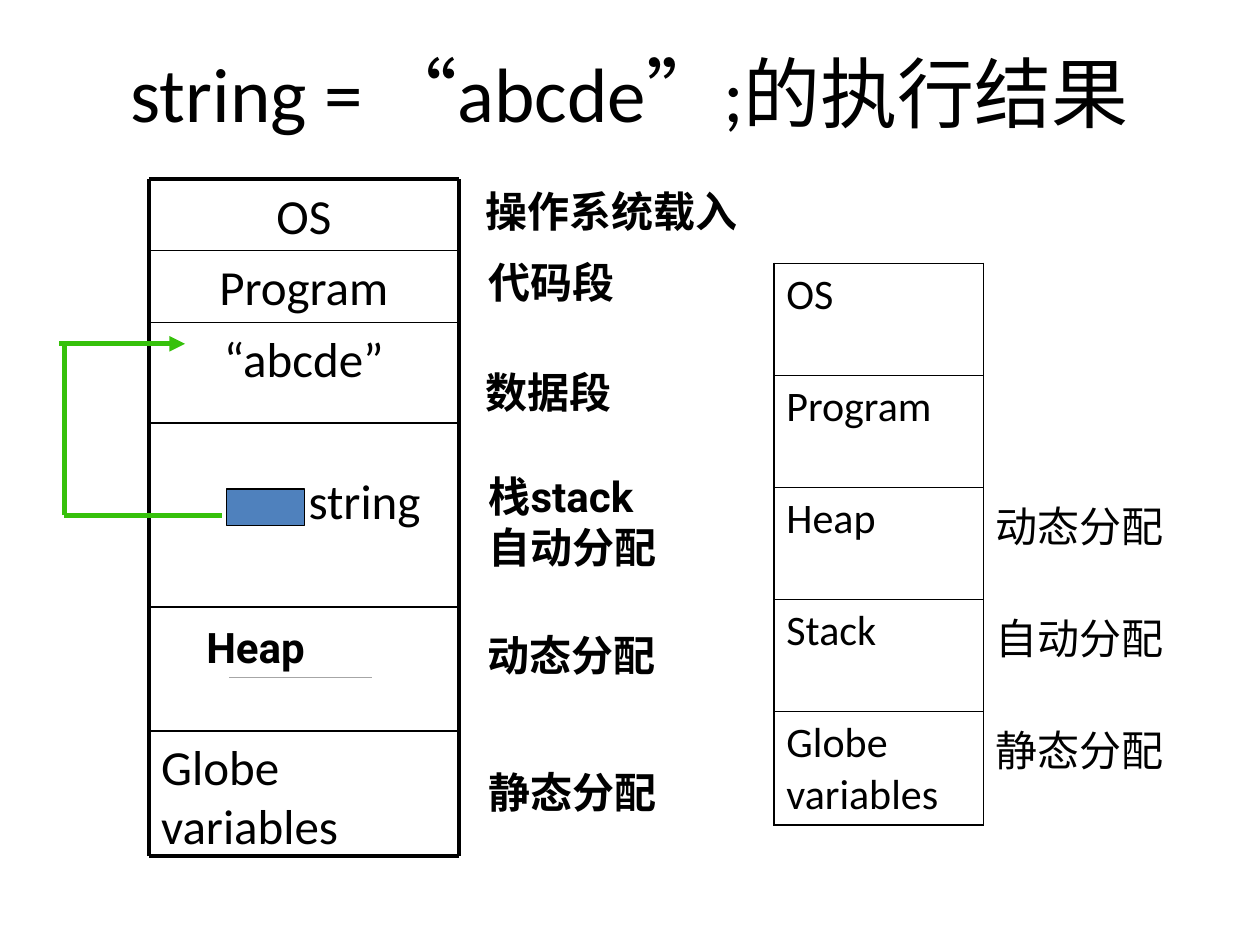
from lxml.etree import SubElement
from pptx import Presentation
from pptx.dml.color import RGBColor
from pptx.enum.shapes import MSO_CONNECTOR as Link, MSO_SHAPE as Shape
from pptx.enum.text import MSO_ANCHOR as Anchor, PP_ALIGN as Align
from pptx.oxml.ns import qn
from pptx.util import Cm, Pt

TITLE = "string = “abcde”;的执行结果"
BANDS = [
    ("OS", 3.61, 5.05, 0.25),
    ("Program", 5.05, 6.5, 0.25),
    ("“abcde”", 6.5, 9.37, 0.25),
    ("string", 9.37, 13.67, 2.7),
]
RULES = [(3.61, 2.25), (5.05, 1), (6.5, 1), (8.53, 1), (12.24, 1), (14.73, 1), (17.25, 2.25)]
LABELS = [
    ("操作系统载入", 9.53, 3.61, 6.07),
    ("代码段", 9.6, 5.05, 3.63),
    ("数据段", 9.53, 7.26, 3.63),
    ("栈stack\n自动分配", 9.6, 9.37, 5.23),
    ("动态分配", 9.58, 12.57, 4.5),
    ("静态分配", 9.6, 15.32, 4.5),
    ("Heap", 3.91, 12.4, 4.5),
]
GLOBALS = ("Globe variables", 3, 14.73, 5.03)
SEGMENTS = [
    ("OS", ""),
    ("Program", ""),
    ("Heap", "动态分配"),
    ("Stack", "自动分配"),
    ("Globe variables", "静态分配"),
]
COLUMNS = (4.22, 4.11)
ROWS = (2.26, 2.26, 2.26, 2.26, 2.29)
POINTER = [((1.3, 10.39), (1.3, 6.93)), ((4.47, 10.39), (1.3, 10.39)), ((1.19, 6.93), (3.73, 6.93))]
LEFT, RIGHT = 3, 9.25

THEME = {
    "ink": "000000", "paper": "FFFFFF", "variable": "4F81BD", "pointer": "36C10B", "faint": "A6A6A6",
    "title": {"name": "Calibri", "size": Pt(44)},
    "band": {"name": "Calibri", "size": Pt(28)},
    "cell": {"name": "Calibri", "size": Pt(24)},
    "label": {"name": "Roboto", "size": Pt(24), "bold": True},
}
NO_STYLE = "{2D5ABB26-0587-4C30-8999-92F81FD0307C}"


def colour(name):
    return RGBColor.from_string(THEME[name])


def write(frame, text, style, before=0, align=Align.LEFT):
    frame.word_wrap = True
    frame.text = text
    for para in frame.paragraphs:
        para.alignment = align
        para.space_before = Pt(before)
        for span in para.runs:
            for key, value in THEME[style].items():
                setattr(span.font, key, value)
            span.font.color.rgb = colour("ink")


def add_line(page, start, end, width, ink="ink", arrow=False):
    line = page.shapes.add_connector(Link.STRAIGHT, *map(Cm, start + end))
    line.line.color.rgb = colour(ink)
    line.line.width = Pt(width)
    if arrow:
        SubElement(line.line._get_or_add_ln(), qn("a:tailEnd"), type="triangle")
    SubElement(line._element.spPr, qn("a:effectLst"))


def add_box(page, left, top, width, height, fill):
    box = page.shapes.add_shape(Shape.RECTANGLE, Cm(left), Cm(top), Cm(width), Cm(height))
    box.shadow.inherit = False
    box.fill.solid()
    box.fill.fore_color.rgb = colour(fill)
    box.line.fill.background()
    return box


def add_label(page, text, left, top, width, style="label", before=0):
    height = 1.27 + 1.02 * text.count("\n")
    box = page.shapes.add_textbox(Cm(left), Cm(top), Cm(width), Cm(height))
    write(box.text_frame, text, style, before)


def add_border(cell, side, width):
    border = SubElement(cell._tc.get_or_add_tcPr(), qn(f"a:{side}"), w=str(Pt(width)))
    SubElement(SubElement(border, qn("a:solidFill")), qn("a:srgbClr"), val=THEME["ink"])


def add_memory(page):
    for text, top, bottom, inset in BANDS:
        box = add_box(page, LEFT, top, RIGHT - LEFT, bottom - top, "paper")
        box.text_frame.vertical_anchor = Anchor.TOP
        box.text_frame.margin_left = Cm(inset)
        write(box.text_frame, text, "band", 7, Align.CENTER)
    for height, width in RULES:
        add_line(page, (LEFT, height), (RIGHT, height), width)
    for side in (LEFT, RIGHT):
        add_line(page, (side, RULES[0][0]), (side, RULES[-1][0]), 2.25)
    add_line(page, (4.62, 13.66), (7.49, 13.66), 0.25, "faint")
    variable = add_box(page, 4.57, 9.86, 1.57, 0.74, "variable")
    variable.line.color.rgb = colour("ink")
    variable.line.width = Pt(0.75)
    for start, end in POINTER:
        add_line(page, start, end, 3, "pointer", arrow=(start, end) == POINTER[-1])
    for label in LABELS:
        add_label(page, *label)
    add_label(page, *GLOBALS, style="band", before=7)


def add_segments(page):
    frame = page.shapes.add_table(len(ROWS), len(COLUMNS), Cm(15.6), Cm(5.31), Cm(sum(COLUMNS)), Cm(sum(ROWS)))
    table = frame.table
    table.first_row = table.horz_banding = False
    table._tbl.tblPr.find(qn("a:tableStyleId")).text = NO_STYLE
    for column, width in zip(table.columns, COLUMNS):
        column.width = Cm(width)
    table.cell(0, 1).merge(table.cell(1, 1))
    last = len(ROWS) - 1
    for index, (texts, height) in enumerate(zip(SEGMENTS, ROWS)):
        table.rows[index].height = Cm(height)
        name = table.cell(index, 0)
        edges = {"lnL": 1.08, "lnR": 0.45, "lnT": 0.45 if index else 1.08, "lnB": 1.08 if index == last else 0.45}
        for side, width in edges.items():
            add_border(name, side, width)
        for column, text in enumerate(texts):
            cell = table.cell(index, column)
            cell.fill.background()
            if text:
                write(cell.text_frame, text, "cell", 6)


def main():
    deck = Presentation()
    deck.slide_width, deck.slide_height = Cm(25.4), Cm(19.05)
    page = deck.slides.add_slide(deck.slide_layouts[5])
    title = page.shapes.title
    title.left, title.top, title.width, title.height = map(Cm, (1.27, 0.76, 22.86, 2.16))
    title.text_frame.vertical_anchor = Anchor.MIDDLE
    write(title.text_frame, TITLE, "title", align=Align.CENTER)
    add_memory(page)
    add_segments(page)
    deck.save("out.pptx")


if __name__ == "__main__":
    main()
